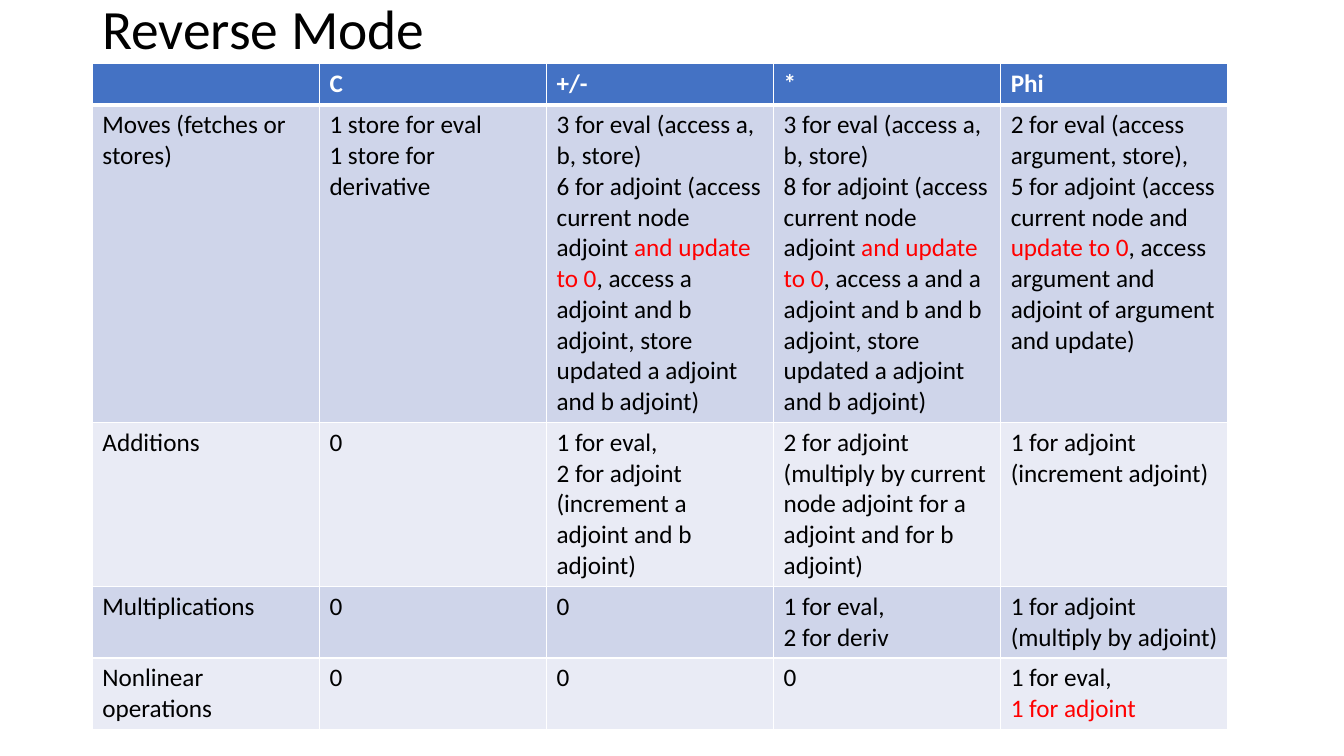
from lxml import etree
from pptx import Presentation
from pptx.dml.color import RGBColor
from pptx.enum.text import MSO_ANCHOR, PP_ALIGN
from pptx.oxml.ns import qn
from pptx.util import Pt

# Content: a line break starts a paragraph, bars enclose red words
TITLE = "Reverse Mode"
ROWS = [
    ("", "C", "+/-", "*", "Phi"),
    ("Moves (fetches or stores)",
     "1 store for eval\n1 store for derivative",
     "3 for eval (access a, b, store)\n"
     "6 for adjoint (access current node adjoint |and update to 0|, access a adjoint "
     "and b adjoint, store updated a adjoint and b adjoint)",
     "3 for eval (access a, b, store)\n"
     "8 for adjoint (access current node adjoint |and update to 0|, access a and a adjoint "
     "and b and b adjoint, store updated a adjoint and b adjoint)",
     "2 for eval (access argument, store),\n"
     "5 for adjoint (access current node and |update to 0|, access argument "
     "and adjoint of argument and update)"),
    ("Additions", "0",
     "1 for eval,\n2 for adjoint (increment a adjoint and b adjoint)",
     "2 for adjoint (multiply by current node adjoint for a adjoint and for b adjoint)",
     "1 for adjoint (increment adjoint)"),
    ("Multiplications", "0", "0",
     "1 for eval,\n2 for deriv",
     "1 for adjoint (multiply by adjoint)"),
    ("Nonlinear operations", "0", "0", "0",
     "1 for eval,\n|1 for adjoint|"),
]

FONT = "Calibri"
BLACK = RGBColor(0x00, 0x00, 0x00)
WHITE = RGBColor(0xFF, 0xFF, 0xFF)
RED = RGBColor(0xFF, 0x00, 0x00)
HEADER = RGBColor(0x44, 0x72, 0xC4)
BANDS = (RGBColor(0xE9, 0xEB, 0xF5), RGBColor(0xCF, 0xD5, 0xEA))

LEFT, TOP = 66, 45.6
COL_W, ROW_H, TABLE_H = 162.2, 29.2, 490.3


def add_run(p, text, size, color, bold=False):
    r = p.add_run()
    r.text = text
    r.font.name = FONT
    r.font.size = Pt(size)
    r.font.bold = bold
    r.font.color.rgb = color


def set_borders(cell, top, bottom):
    tcPr = cell._tc.get_or_add_tcPr()
    widths = {"a:lnL": 1, "a:lnR": 1, "a:lnT": top, "a:lnB": bottom}
    for i, (tag, width) in enumerate(widths.items()):
        ln = etree.Element(qn(tag), w=str(Pt(width)))
        fill = etree.SubElement(ln, qn("a:solidFill"))
        etree.SubElement(fill, qn("a:srgbClr"), val=str(WHITE))
        tcPr.insert(i, ln)


prs = Presentation()
prs.slide_width, prs.slide_height = Pt(960), Pt(540)
s = prs.slides.add_slide(prs.slide_layouts[5])

# Title
sp = s.shapes.title
sp.left, sp.top, sp.width, sp.height = Pt(LEFT), Pt(0), Pt(828), Pt(TOP)
tf = sp.text_frame
tf.vertical_anchor = MSO_ANCHOR.MIDDLE
p = tf.paragraphs[0]
p.alignment = PP_ALIGN.LEFT
p.line_spacing = 0.9
add_run(p, TITLE, 39.6, BLACK)

# Table: rows grow from the minimum height to fit their text
n_cols = len(ROWS[0])
frame = s.shapes.add_table(len(ROWS), n_cols, Pt(LEFT), Pt(TOP),
                           Pt(COL_W * n_cols), Pt(TABLE_H))
table = frame.table
for col in table.columns:
    col.width = Pt(COL_W)
for row in table.rows:
    row.height = Pt(ROW_H)
frame.height = Pt(TABLE_H)

for i, row in enumerate(ROWS):
    header = i == 0
    for j, text in enumerate(row):
        cell = table.cell(i, j)
        cell.fill.solid()
        cell.fill.fore_color.rgb = HEADER if header else BANDS[i % 2]
        set_borders(cell, top=3 if i == 1 else 1, bottom=3 if header else 1)
        tf = cell.text_frame
        for k, line in enumerate(text.split("\n")):
            p = tf.add_paragraph() if k else tf.paragraphs[0]
            for m, part in enumerate(line.split("|")):
                if part:
                    color = RED if m % 2 else WHITE if header else BLACK
                    add_run(p, part, 18, color, header)

prs.save("out.pptx")
